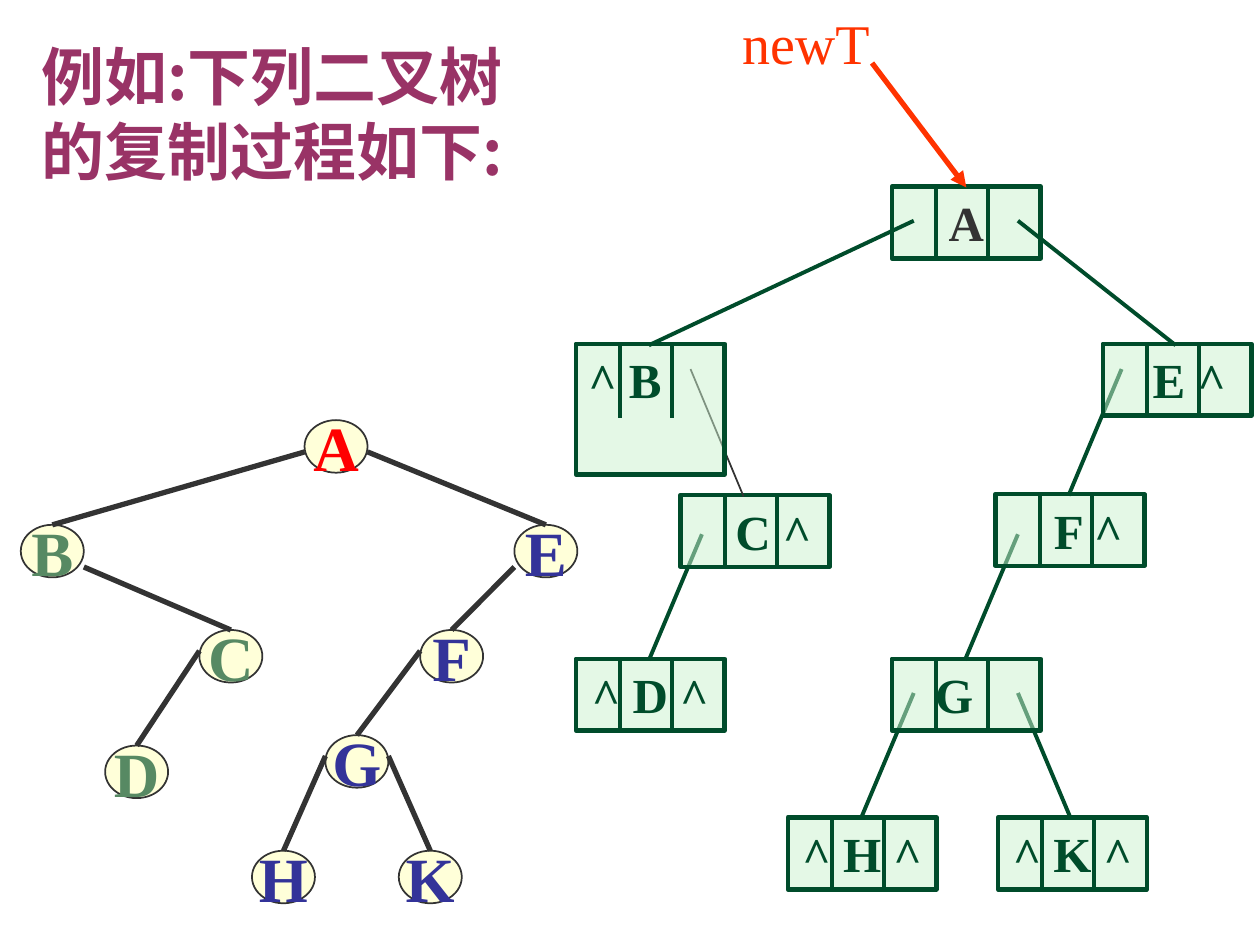
from dataclasses import dataclass

from lxml.etree import SubElement
from pptx import Presentation
from pptx.dml.color import RGBColor
from pptx.enum.shapes import MSO_CONNECTOR, MSO_SHAPE
from pptx.enum.text import MSO_ANCHOR, MSO_AUTO_SIZE, PP_ALIGN
from pptx.oxml.ns import qn
from pptx.util import Cm, Pt


@dataclass(frozen=True)
class Theme:
    serif: str = "Times New Roman"
    sans: str = "Noto Sans CJK SC"
    heading: str = "993366"
    ink: str = "333333"
    accent: str = "FF3300"
    root: str = "FF0000"
    left_branch: str = "578963"
    right_branch: str = "333399"
    oval: str = "FFFFD9"
    cell: str = "CAF2CE"
    frame: str = "004C2B"
    large: int = 36
    medium: int = 32
    small: int = 28


@dataclass(frozen=True)
class Record:
    text: str
    left: float
    top: float
    start: tuple = None
    shift: float = 0
    height: float = 1.45
    entry: float = 1.47
    color: str = Theme.frame
    edge: tuple = (Theme.frame, 2.25)
    align: PP_ALIGN = PP_ALIGN.CENTER


OVAL_WIDTH, OVAL_HEIGHT = 1.27, 1.06
RECORD_WIDTH, DIVIDERS, DIVIDER_HEIGHT = 3, (0.89, 1.94), 1.47

TREE = {
    "A": (6.14, 8.47, Theme.root),
    "B": (0.42, 10.58, Theme.left_branch),
    "C": (4.02, 12.7, Theme.left_branch),
    "D": (2.12, 15.03, Theme.left_branch),
    "E": (10.37, 10.58, Theme.right_branch),
    "F": (8.47, 12.7, Theme.right_branch),
    "G": (6.56, 14.82, Theme.right_branch),
    "H": (5.08, 17.15, Theme.right_branch),
    "K": (8.04, 17.15, Theme.right_branch),
}
LINKS = ("AB", "BC", "CD", "AE", "EF", "FG", "GH", "GK")
EDGE_DROP = {"A": 0.64, "B": 0.85, "C": 0.42, "E": 0.85, "F": 0.42, "G": 0.42}

RECORDS = (
    Record("^ D ^", 11.61, 13.28, (14.15, 10.77)),
    Record("C ^", 13.72, 9.98, (13.92, 7.44), shift=0.74, entry=1.27, edge=(Theme.ink, 1)),
    Record("^ H ^", 15.88, 16.48, (18.42, 13.97)),
    Record("^ K ^", 20.12, 16.48, (20.52, 13.97)),
    Record("G", 17.98, 13.28, (20.52, 10.77), shift=-0.49),
    Record("A", 17.98, 3.76, color=Theme.ink),
    Record("F ^", 20.07, 9.96, (22.61, 7.44), shift=0.74),
    Record("^ B", 11.61, 6.93, (18.42, 4.45), height=2.64, align=PP_ALIGN.LEFT),
    Record("E ^", 22.23, 6.93, (20.52, 4.45), shift=0.49),
)


def write(frame, text, *, size, color, font=Theme.serif, bold=True,
          align=PP_ALIGN.LEFT, anchor=MSO_ANCHOR.TOP, wrap=True, spacing=None):
    """Put one formatted paragraph into a text frame."""
    frame.auto_size = MSO_AUTO_SIZE.NONE
    frame.word_wrap = wrap
    frame.vertical_anchor = anchor
    para = frame.paragraphs[0]
    para.alignment = align
    para.line_spacing = spacing
    span = para.add_run()
    span.text = text
    span.font.size = Pt(size)
    span.font.bold = bold
    span.font.name = font
    span.font.color.rgb = RGBColor.from_string(color)
    SubElement(span._r.get_or_add_rPr(), qn("a:ea"), typeface=font)


class Painter:
    """Hold the theme and the current slide, and draw each kind of element."""

    def __init__(self, theme, slide):
        self.theme = theme
        self.slide = slide

    def title(self, text, left, top, width, height):
        """Place the slide title."""
        box = self.slide.shapes.title
        box.left, box.top, box.width, box.height = map(Cm, (left, top, width, height))
        box.text_frame.margin_top = Cm(0.3)
        write(box.text_frame, text, size=self.theme.large, color=self.theme.heading,
              font=self.theme.sans, spacing=Pt(43))

    def label(self, text, left, top, width, height):
        """Add a pointer name."""
        box = self.slide.shapes.add_textbox(*map(Cm, (left, top, width, height)))
        write(box.text_frame, text, size=self.theme.medium, color=self.theme.accent,
              bold=False, wrap=False)

    def shape(self, kind, left, top, width, height, fill, line, weight):
        """Add a filled and outlined preset shape."""
        shape = self.slide.shapes.add_shape(kind, *map(Cm, (left, top, width, height)))
        shape.shadow.inherit = False
        shape.fill.solid()
        shape.fill.fore_color.rgb = RGBColor.from_string(fill)
        shape.line.color.rgb = RGBColor.from_string(line)
        shape.line.width = Pt(weight)
        return shape

    def line(self, start, end, color, weight, arrow=False):
        """Add a straight line, with an arrowhead if asked."""
        line = self.slide.shapes.add_connector(MSO_CONNECTOR.STRAIGHT, *map(Cm, (*start, *end)))
        line.line.color.rgb = RGBColor.from_string(color)
        line.line.width = Pt(weight)
        if arrow:
            SubElement(line.line._get_or_add_ln(), qn("a:tailEnd"), type="triangle")
        SubElement(line._element.spPr, qn("a:effectLst"))

    def oval(self, name, left, top, color):
        """Add a node of the source tree."""
        oval = self.shape(MSO_SHAPE.OVAL, left, top, OVAL_WIDTH, OVAL_HEIGHT,
                          self.theme.oval, self.theme.ink, 1)
        write(oval.text_frame, name, size=self.theme.large, color=color,
              align=PP_ALIGN.CENTER, anchor=MSO_ANCHOR.MIDDLE, wrap=False)

    def link(self, parent, child):
        """Join two nodes of the source tree."""
        left, top, _ = TREE[parent]
        child_left, child_top, _ = TREE[child]
        side = OVAL_WIDTH if child_left > left else 0
        self.line((left + side, top + EDGE_DROP[parent]),
                  (child_left + OVAL_WIDTH / 2, child_top), self.theme.ink, 3)

    def record(self, record):
        """Add a three-part record with its dividers and incoming edge."""
        box = self.shape(MSO_SHAPE.RECTANGLE, record.left, record.top, RECORD_WIDTH,
                         record.height, self.theme.cell, self.theme.frame, 2.5)
        tint = box._element.spPr.find(qn("a:solidFill")).find(qn("a:srgbClr"))
        SubElement(tint, qn("a:alpha"), val="50000")
        frame = box.text_frame
        frame.margin_left = Cm(0.25 + max(record.shift, 0))
        frame.margin_right = Cm(0.25 + max(-record.shift, 0))
        write(frame, record.text, size=self.theme.small, color=record.color, align=record.align)
        top = record.top + 0.03
        for offset in DIVIDERS:
            x = record.left + offset
            self.line((x, top), (x, top + DIVIDER_HEIGHT), self.theme.frame, 2.25)
        if record.start:
            self.line(record.start, (record.left + record.entry, top), *record.edge)


def main():
    """Build the slide and save it."""
    deck = Presentation()
    deck.slide_width, deck.slide_height = Cm(25.4), Cm(19.05)
    page = deck.slides.add_slide(deck.slide_layouts[5])
    painter = Painter(Theme(), page)
    painter.title("例如:下列二叉树的复制过程如下:", 0.58, 0.46, 10.85, 3.3)
    for name, node in TREE.items():
        painter.oval(name, *node)
    for parent, child in LINKS:
        painter.link(parent, child)
    for record in RECORDS:
        painter.record(record)
    painter.label("newT", 14.71, 0.05, 3.07, 1.63)
    painter.line((17.58, 1.27), (19.48, 3.78), Theme.accent, 3, arrow=True)
    deck.save("out.pptx")


if __name__ == "__main__":
    main()
